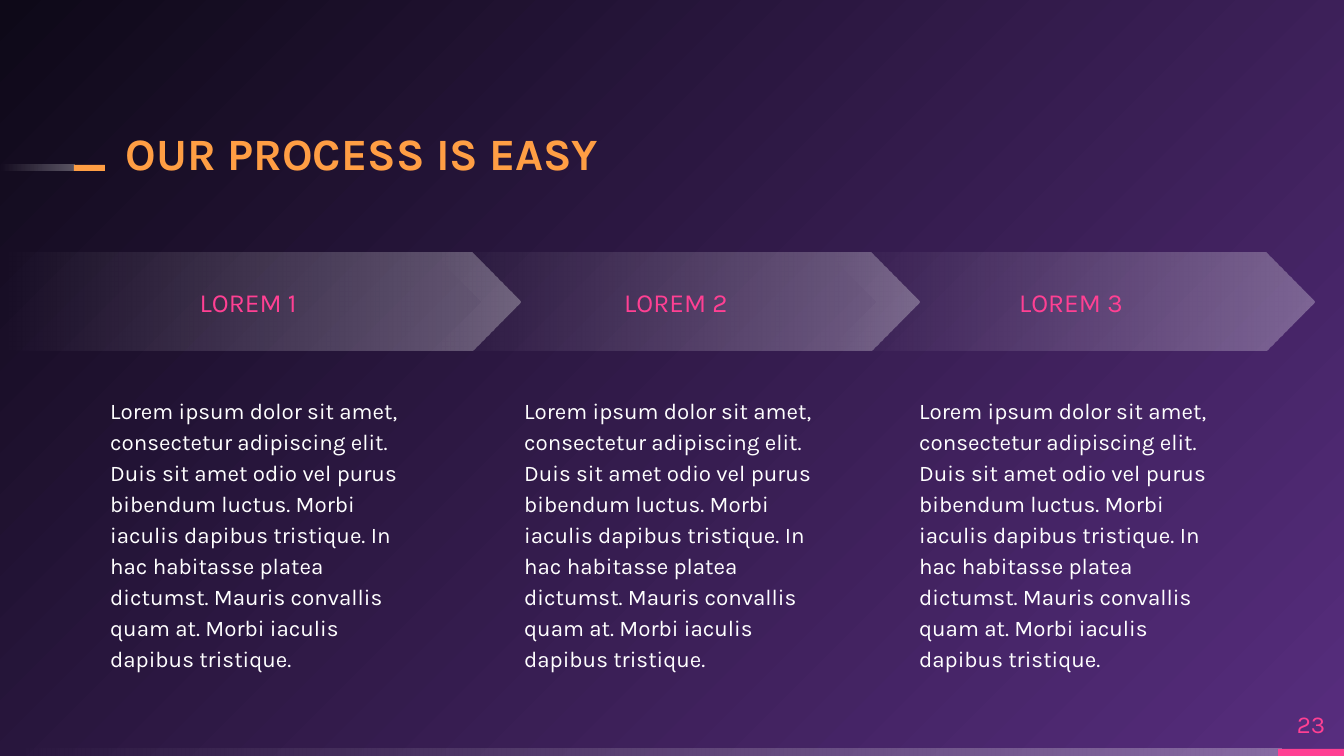
from lxml import etree
from pptx import Presentation
from pptx import util as u
from pptx.dml.color import RGBColor
from pptx.enum import shapes, text
from pptx.oxml.ns import qn

PX = 914400 / 134.4
ORANGE = RGBColor(0xFF, 0x9E, 0x44)
PINK = RGBColor(0xFF, 0x40, 0x93)
WHITE = RGBColor(0xFF, 0xFF, 0xFF)
PURPLE = RGBColor(0x57, 0x2D, 0x7E)
NIGHT = RGBColor(0x0E, 0x09, 0x18)

TITLE = "OUR PROCESS IS EASY"
PAGE = "23"
STEPS = ["LOREM 1", "LOREM 2", "LOREM 3"]
BODY = ("Lorem ipsum dolor sit amet, consectetur adipiscing elit. Duis sit amet "
        "odio vel purus bibendum luctus. Morbi iaculis dapibus tristique. In hac "
        "habitasse platea dictumst. Mauris convallis quam at. Morbi iaculis "
        "dapibus tristique.")
FADES = [(0, 749, 1282, 7), (0, 165, 75, 6)]
BARS = [((1278, 749, 66, 7), PINK), ((74, 165, 31, 6), ORANGE)]

ARROW_TOP, ARROW_H = 253, 98
FIRST_W, CHEVRON_W = 521, 486
CHEVRON_LEFT, PITCH = 433, 395
BODY_TOP, BODY_W, BODY_H = 380, 329, 265
FIRST_BODY_LEFT, BODY_INDENT = 97, 78

SHAPE = shapes.MSO_SHAPE
ALIGN = text.PP_ALIGN
ANCHOR = text.MSO_ANCHOR


def emu(box):
    return [round(v * PX) for v in box]


def write(sp, words, size, color, inset=0, anchor=ANCHOR.TOP,
          align=ALIGN.LEFT, spacing=1.0, bold=False):
    tf = sp.text_frame
    frame = {"word_wrap": True, "auto_size": text.MSO_AUTO_SIZE.NONE,
             "vertical_anchor": anchor}
    for side in ("left", "top", "right", "bottom"):
        frame["margin_" + side] = u.Inches(inset)
    p = tf.paragraphs[0]
    r = p.add_run()
    r.text = words
    r.font.color.rgb = color
    for target, values in (
        (tf, frame),
        (p, {"alignment": align, "line_spacing": spacing}),
        (r.font, {"name": "Karla", "size": u.Pt(size), "bold": bold}),
    ):
        for name, value in values.items():
            setattr(target, name, value)


def add_shape(s, kind, box):
    sp = s.shapes.add_shape(kind, *emu(box))
    sp.shadow.inherit = False
    sp.line.fill.background()
    return sp


def add_fade(s, kind, box):
    sp = add_shape(s, kind, box)
    sp.fill.gradient()
    sp.fill.gradient_angle = 180
    for stop in sp.fill.gradient_stops:
        stop.color.rgb = WHITE
    colors = sp._element.spPr.iter(qn("a:srgbClr"))
    for color, alpha in zip(colors, (30000, 0)):
        etree.SubElement(color, qn("a:alpha"), val=str(alpha))
    return sp


def add_background(s):
    fill = s.background.fill
    fill.gradient()
    for stop, color in zip(fill.gradient_stops, (PURPLE, NIGHT)):
        stop.color.rgb = color
    grad = next(s._element.iter(qn("a:gradFill")))
    radial = etree.Element(qn("a:path"), path="circle")
    etree.SubElement(radial, qn("a:fillToRect"), l="100000", t="100000")
    grad.replace(grad.find(qn("a:lin")), radial)


def add_step(s, i, label):
    left = CHEVRON_LEFT + (i - 1) * PITCH
    if i == 0:
        kind, left, width, body_left = SHAPE.PENTAGON, 0, FIRST_W, FIRST_BODY_LEFT
    else:
        kind, width, body_left = SHAPE.CHEVRON, CHEVRON_W, left + BODY_INDENT
    arrow = add_fade(s, kind, (left, ARROW_TOP, width, ARROW_H))
    write(arrow, label, 14, PINK, 0.1, ANCHOR.MIDDLE, ALIGN.CENTER)
    body = s.shapes.add_textbox(*emu((body_left, BODY_TOP, BODY_W, BODY_H)))
    write(body, BODY, 12, WHITE, 0.1, spacing=1.15)


def main():
    prs = Presentation()
    prs.slide_width, prs.slide_height = emu((1344, 756))
    s = prs.slides.add_slide(prs.slide_layouts[5])
    add_background(s)
    for box in FADES:
        add_fade(s, SHAPE.RECTANGLE, box)
    for box, color in BARS:
        bar = add_shape(s, SHAPE.RECTANGLE, box)
        bar.fill.solid()
        bar.fill.fore_color.rgb = color

    title = s.shapes.title
    title.left, title.top, title.width, title.height = emu((126, 122, 780, 58))
    write(title, TITLE, 24, ORANGE, anchor=ANCHOR.BOTTOM, spacing=0.9, bold=True)
    number = s.shapes.add_textbox(*emu((1278, 698, 66, 51)))
    write(number, PAGE, 13, PINK, anchor=ANCHOR.MIDDLE, align=ALIGN.CENTER)

    for i, label in enumerate(STEPS):
        add_step(s, i, label)
    prs.save("out.pptx")


if __name__ == "__main__":
    main()
